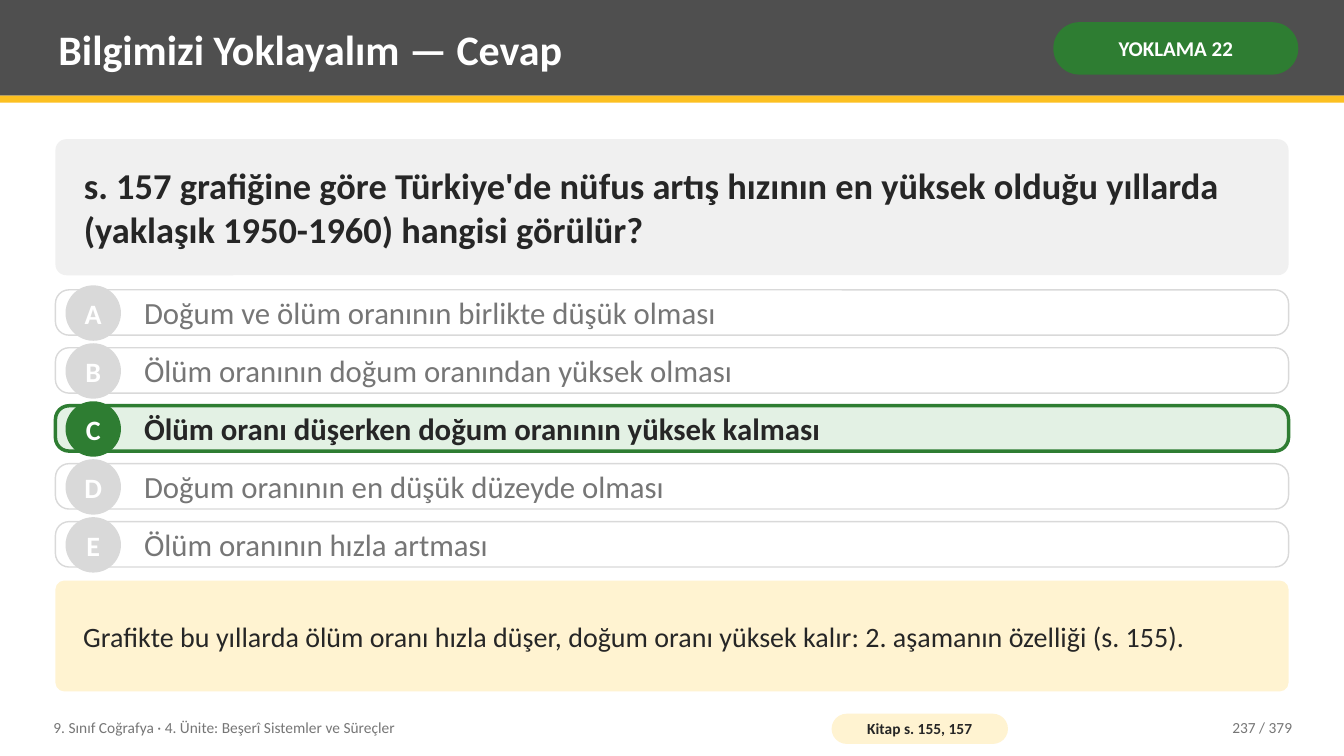
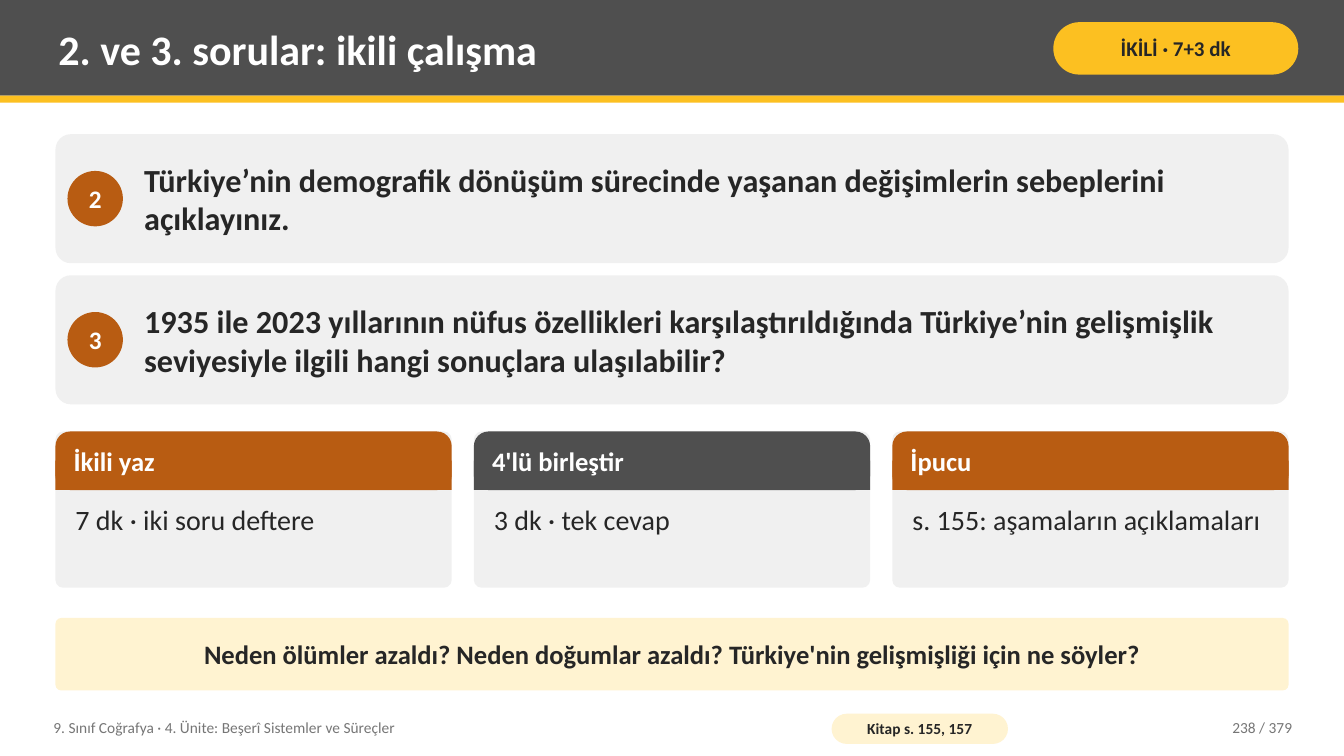
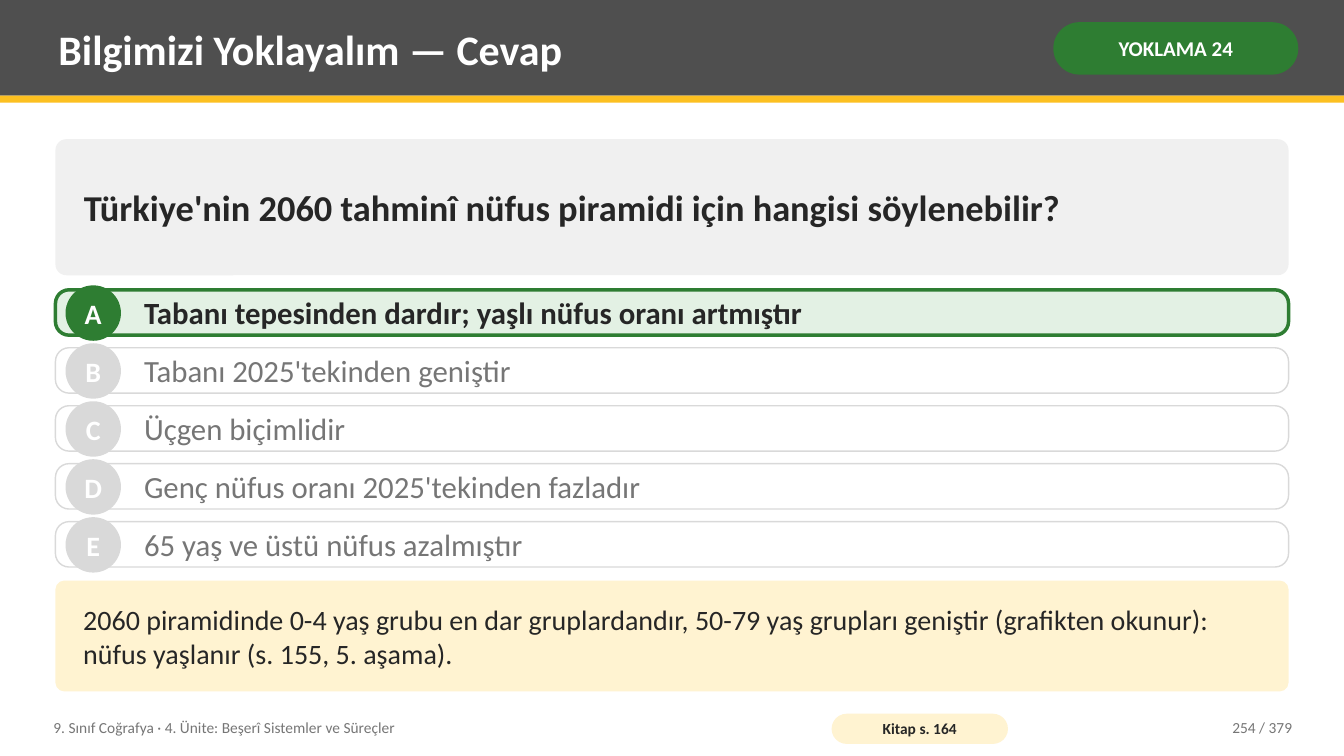
from pptx import Presentation
from pptx.dml.color import RGBColor
from pptx.enum.shapes import MSO_SHAPE
from pptx.enum.text import MSO_ANCHOR, PP_ALIGN
from pptx.util import Pt

RECT, ROUND, OVAL = MSO_SHAPE.RECTANGLE, MSO_SHAPE.ROUNDED_RECTANGLE, MSO_SHAPE.OVAL
LEFT, CENTER, RIGHT = PP_ALIGN.LEFT, PP_ALIGN.CENTER, PP_ALIGN.RIGHT
TOP, MIDDLE = MSO_ANCHOR.TOP, MSO_ANCHOR.MIDDLE

# Palette
WHITE, INK, MUTED = "FFFFFF", "262626", "767676"
CHARCOAL, AMBER, CREAM, RUST = "4F4F4F", "FCC021", "FFF3D1", "B85C12"
GREEN, MINT, PANEL, SILVER = "2E7D32", "E3F1E4", "F0F0F0", "D9D9D9"

# Shared grid, in points
WIDTH, HEIGHT, MARGIN = 960, 540, 39.6
CONTENT = WIDTH - 2 * MARGIN
BADGE = 39.6
TEXT_LEFT = 97.2


def rgb(value):
    return RGBColor.from_string(value)


def block(slide, box, kind=None, fill=None, line=None, radius=None, text="", size=12,
          color=INK, bold=False, align=LEFT, anchor=MIDDLE, inset=(5.76, 2.88), wrap=True):
    """Add a preset shape, or a text box when no kind is given."""
    place = [Pt(value) for value in box]
    if kind is None:
        shape = slide.shapes.add_textbox(*place)
    else:
        shape = slide.shapes.add_shape(kind, *place)
        shape.shadow.inherit = False
        shape.fill.solid()
        shape.fill.fore_color.rgb = rgb(fill)
        if line:
            shape.line.color.rgb = rgb(line[0])
            shape.line.width = Pt(line[1])
        else:
            shape.line.fill.background()
        if radius is not None:
            shape.adjustments[0] = radius
    if not text:
        return
    across, down = Pt(inset[0]), Pt(inset[1])
    frame = shape.text_frame
    frame_format = {"word_wrap": wrap, "vertical_anchor": anchor,
                    "margin_left": across, "margin_right": across,
                    "margin_top": down, "margin_bottom": down}
    for name, value in frame_format.items():
        setattr(frame, name, value)
    paragraph = frame.paragraphs[0]
    paragraph.alignment = align
    run = paragraph.add_run()
    run.text = text
    for name, value in {"name": "Calibri", "size": Pt(size), "bold": bold}.items():
        setattr(run.font, name, value)
    run.font.color.rgb = rgb(color)


prs = Presentation()
prs.slide_width, prs.slide_height = Pt(WIDTH), Pt(HEIGHT)

# Title, tag, tag fill, tag colour, book pages, page number
headings = [
    ("Bilgimizi Yoklayalım — Cevap", "YOKLAMA 22", GREEN, WHITE, "155, 157", 237),
    ("2. ve 3. sorular: ikili çalışma", "İKİLİ · 7+3 dk", AMBER, INK, "155, 157", 238),
    ("Bilgimizi Yoklayalım — Cevap", "YOKLAMA 24", GREEN, WHITE, "164", 254),
]

# Header band and footer of every slide
slides = []
for title, tag, tag_fill, tag_color, book_pages, page in headings:
    slide = prs.slides.add_slide(prs.slide_layouts[6])
    slides.append(slide)
    block(slide, (0, 0, WIDTH, 68.4), RECT, CHARCOAL)
    block(slide, (0, 68.4, WIDTH, 5), RECT, AMBER)
    block(slide, (36, 5, 702, 59), text=title, size=30, color=WHITE, bold=True)
    block(slide, (752.4, 15.84, 175, 37.44), ROUND, tag_fill, radius=0.5, text=tag,
          size=15, color=tag_color, bold=True, align=CENTER, inset=(3.6, 1.44))
    block(slide, (32.4, 506.9, 547.2, 25.9), size=11, color=MUTED,
          text="9. Sınıf Coğrafya · 4. Ünite: Beşerî Sistemler ve Süreçler")
    block(slide, (594, 509.8, 126, 21.6), ROUND, CREAM, radius=0.5,
          text=f"Kitap s. {book_pages}", size=11, bold=True, align=CENTER, inset=(2.88, 0))
    block(slide, (813.6, 506.9, 115.2, 25.9), text=f"{page} / 379", size=11,
          color=MUTED, align=RIGHT)

# Answer slides: question, five options, explanation
quizzes = [
    (slides[0],
     "s. 157 grafiğine göre Türkiye'de nüfus artış hızının en yüksek olduğu yıllarda "
     "(yaklaşık 1950-1960) hangisi görülür?",
     "C",
     ["Doğum ve ölüm oranının birlikte düşük olması",
      "Ölüm oranının doğum oranından yüksek olması",
      "Ölüm oranı düşerken doğum oranının yüksek kalması",
      "Doğum oranının en düşük düzeyde olması",
      "Ölüm oranının hızla artması"],
     "Grafikte bu yıllarda ölüm oranı hızla düşer, doğum oranı yüksek kalır: "
     "2. aşamanın özelliği (s. 155)."),
    (slides[2],
     "Türkiye'nin 2060 tahminî nüfus piramidi için hangisi söylenebilir?",
     "A",
     ["Tabanı tepesinden dardır; yaşlı nüfus oranı artmıştır",
      "Tabanı 2025'tekinden geniştir",
      "Üçgen biçimlidir",
      "Genç nüfus oranı 2025'tekinden fazladır",
      "65 yaş ve üstü nüfus azalmıştır"],
     "2060 piramidinde 0-4 yaş grubu en dar gruplardandır, 50-79 yaş grupları geniştir "
     "(grafikten okunur): nüfus yaşlanır (s. 155, 5. aşama)."),
]
for slide, question, answer, options, explanation in quizzes:
    block(slide, (MARGIN, 99.4, CONTENT, 97.2), ROUND, PANEL, radius=0.08,
          text=question, size=26, bold=True, inset=(18, 5.76))
    for row, (letter, option) in enumerate(zip("ABCDE", options)):
        top = 207 + row * 41.4
        correct = letter == answer
        block(slide, (MARGIN, top, CONTENT, 32.4), ROUND, MINT if correct else WHITE,
              line=(GREEN, 2.5) if correct else (SILVER, 1), radius=0.3)
        block(slide, (46.8, top - 3.2, BADGE, BADGE), OVAL, GREEN if correct else SILVER,
              text=letter, size=20, color=WHITE, bold=True, align=CENTER,
              inset=(0, 0), wrap=False)
        block(slide, (TEXT_LEFT, top, 808.6, 32.4), text=option, size=22,
              color=INK if correct else MUTED, bold=correct)
    block(slide, (MARGIN, 414.7, CONTENT, 79.2), ROUND, CREAM, radius=0.08,
          text=explanation, size=20, inset=(18, 5.76))

# Pair work: numbered questions
pair_slide = slides[1]
pair_questions = [
    "Türkiye’nin demografik dönüşüm sürecinde yaşanan değişimlerin sebeplerini açıklayınız.",
    "1935 ile 2023 yıllarının nüfus özellikleri karşılaştırıldığında Türkiye’nin "
    "gelişmişlik seviyesiyle ilgili hangi sonuçlara ulaşılabilir?",
]
card_height = 92.2
for row, question in enumerate(pair_questions):
    top = 95.8 + row * 100.8
    block(pair_slide, (MARGIN, top, CONTENT, card_height), ROUND, PANEL, radius=0.12)
    block(pair_slide, (48.2, top + (card_height - BADGE) / 2, BADGE, BADGE), OVAL, RUST,
          text=str(row + 2), size=18, color=WHITE, bold=True, align=CENTER,
          inset=(0, 0), wrap=False)
    block(pair_slide, (TEXT_LEFT, top, 817.2, card_height), text=question, size=23, bold=True)

# Pair work: three step cards
steps = [
    ("İkili yaz", "7 dk · iki soru deftere", RUST),
    ("4'lü birleştir", "3 dk · tek cevap", CHARCOAL),
    ("İpucu", "s. 155: aşamaların açıklamaları", RUST),
]
gap, step_top, head = 15.84, 308.2, 41.8
step_width = (CONTENT - gap * (len(steps) - 1)) / len(steps)
for column, (heading, detail, accent) in enumerate(steps):
    left = MARGIN + column * (step_width + gap)
    block(pair_slide, (left, step_top, step_width, 111.6), ROUND, PANEL, radius=0.05)
    block(pair_slide, (left, step_top, step_width, head), ROUND, accent, radius=0.25)
    block(pair_slide, (left, step_top + head / 2, step_width, head / 2), RECT, accent)
    block(pair_slide, (left + 7.2, step_top, step_width - 14.4, head), text=heading,
          size=19, color=WHITE, bold=True)
    block(pair_slide, (left + 8.6, 355.7, step_width - 17.2, 58.3), text=detail,
          size=20, anchor=TOP)

# Pair work: guiding questions
block(pair_slide, (MARGIN, 441.4, CONTENT, 51.8), ROUND, CREAM, radius=0.08,
      text="Neden ölümler azaldı? Neden doğumlar azaldı? "
           "Türkiye'nin gelişmişliği için ne söyler?",
      size=19, bold=True, align=CENTER, inset=(10, 1.44))

prs.save("out.pptx")
